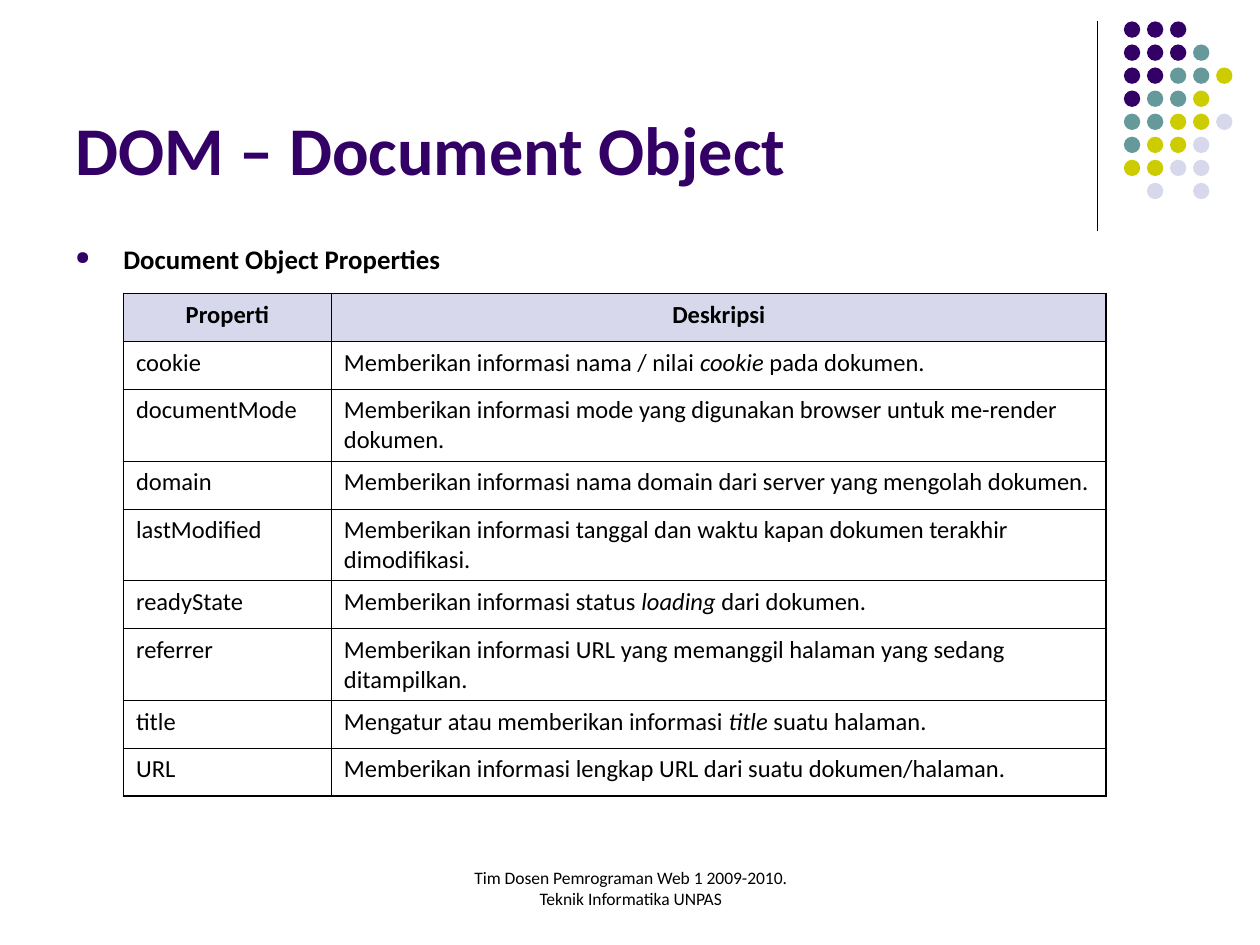
"""Build the DOM Document Object slide with its table of properties."""
from lxml import etree
from pptx import Presentation
from pptx.dml.color import RGBColor
from pptx.enum.shapes import MSO_CONNECTOR, MSO_SHAPE
from pptx.enum.text import MSO_ANCHOR, PP_ALIGN
from pptx.oxml.ns import qn
from pptx.util import Inches, Pt

LEFT, CENTER = PP_ALIGN.LEFT, PP_ALIGN.CENTER
TOP, BOTTOM = MSO_ANCHOR.TOP, MSO_ANCHOR.BOTTOM
ELLIPSE, STRAIGHT = MSO_SHAPE.OVAL, MSO_CONNECTOR.STRAIGHT

TITLE = "DOM – Document Object"
HEADING = "Document Object Properties"
FOOTER = "Tim Dosen Pemrograman Web 1 2009-2010.\nTeknik Informatika UNPAS"
PROPERTIES = [
    ("Properti", "Deskripsi"),
    ("cookie", "Memberikan informasi nama / nilai *cookie* pada dokumen."),
    ("documentMode", "Memberikan informasi mode yang digunakan browser untuk me-render dokumen."),
    ("domain", "Memberikan informasi nama domain dari server yang mengolah dokumen."),
    ("lastModified", "Memberikan informasi tanggal dan waktu kapan dokumen terakhir dimodifikasi."),
    ("readyState", "Memberikan informasi status *loading* dari dokumen."),
    ("referrer", "Memberikan informasi URL yang memanggil halaman yang sedang ditampilkan."),
    ("title", "Mengatur atau memberikan informasi *title* suatu halaman."),
    ("URL", "Memberikan informasi lengkap URL dari suatu dokumen/halaman."),
]
COLUMN_WIDTHS = (1.65, 6.15)
SINGLE_ROW, DOUBLE_ROW = 0.38, 0.57
TWO_LINE_LENGTH = 70
DOT_ROWS = ["PPP", "PPPT", "PPTTY", "PTTY", "TTYYL", "TYYL", "YYLL", " L L"]
DOT_LEFT, DOT_TOP, DOT_STEP, DOT_SIZE = 8.92, 0.17, 0.183, 0.13

THEME = {
    "font": "Calibri",
    "text": "000000",
    "accent": "330066",
    "header": "D8D8EC",
    "dots": {"P": "330066", "T": "669999", "Y": "CCCC00", "L": "D8D8EC"},
    "title_size": 39,
    "heading_size": 15.3,
    "table_size": 14,
    "footer_size": 10,
    "outer_border": 1.08,
    "inner_border": 0.45,
    "rule": 0.75,
}


def write_text(frame, text, size, color=THEME["text"], bold=False, align=LEFT, before=0, anchor=TOP):
    """Write lines as paragraphs, setting words between asterisks in italics."""
    frame.word_wrap = True
    frame.vertical_anchor = anchor
    for number, line in enumerate(text.split("\n")):
        paragraph = frame.add_paragraph() if number else frame.paragraphs[0]
        paragraph.alignment = align
        paragraph.space_before = Pt(before)
        for position, part in enumerate(line.split("*")):
            run = paragraph.add_run()
            run.text = part
            run.font.name = THEME["font"]
            run.font.size = Pt(size)
            run.font.bold = bold
            run.font.italic = position % 2 == 1
            run.font.color.rgb = RGBColor.from_string(color)


def add_text(slide, box, text, size, **text_format):
    """Add a text box and return its frame."""
    frame = slide.shapes.add_textbox(*map(Inches, box)).text_frame
    write_text(frame, text, size, **text_format)
    return frame


def add_bullet(paragraph, indent):
    """Give a paragraph a coloured bullet and a hanging indent."""
    properties = paragraph._p.get_or_add_pPr()
    properties.set("marL", str(Inches(indent)))
    properties.set("indent", str(-Inches(indent)))
    color = etree.SubElement(properties, qn("a:buClr"))
    etree.SubElement(color, qn("a:srgbClr"), val=THEME["accent"])
    etree.SubElement(properties, qn("a:buSzPct"), val="70000")
    etree.SubElement(properties, qn("a:buChar"), char="●")


def set_borders(cell, outer_sides):
    """Draw the four borders of a cell, heavier on the outer sides."""
    properties = cell._tc.get_or_add_tcPr()
    for index, side in enumerate("LRTB"):
        width = THEME["outer_border" if side in outer_sides else "inner_border"]
        line = etree.Element(qn(f"a:ln{side}"), w=str(Pt(width)))
        fill = etree.SubElement(line, qn("a:solidFill"))
        etree.SubElement(fill, qn("a:srgbClr"), val=THEME["text"])
        properties.insert(index, line)


def add_dots(slide):
    """Draw the corner grid of coloured dots."""
    for row, codes in enumerate(DOT_ROWS):
        for column, code in enumerate(codes):
            if code == " ":
                continue
            left, top = DOT_LEFT + column * DOT_STEP, DOT_TOP + row * DOT_STEP
            dot = slide.shapes.add_shape(ELLIPSE, *map(Inches, (left, top, DOT_SIZE, DOT_SIZE)))
            dot.shadow.inherit = False
            dot.fill.solid()
            dot.fill.fore_color.rgb = RGBColor.from_string(THEME["dots"][code])
            dot.line.fill.background()


def add_rule(slide):
    """Draw the vertical rule beside the dots."""
    rule = slide.shapes.add_connector(STRAIGHT, *map(Inches, (8.71, 0.17, 8.71, 1.83)))
    rule.line.color.rgb = RGBColor.from_string(THEME["text"])
    rule.line.width = Pt(THEME["rule"])
    etree.SubElement(rule._element.spPr, qn("a:effectLst"))


def add_property_table(slide):
    """Add the table of properties and their descriptions."""
    heights = [DOUBLE_ROW if len(text) > TWO_LINE_LENGTH else SINGLE_ROW for _, text in PROPERTIES]
    box = (0.98, 2.33, sum(COLUMN_WIDTHS), sum(heights))
    table = slide.shapes.add_table(len(PROPERTIES), len(COLUMN_WIDTHS), *map(Inches, box)).table
    table.first_row = table.horz_banding = False
    for column, width in zip(table.columns, COLUMN_WIDTHS):
        column.width = Inches(width)
    for row_index, texts in enumerate(PROPERTIES):
        header = row_index == 0
        table.rows[row_index].height = Inches(heights[row_index])
        vertical = "T" if header else "B" if row_index == len(PROPERTIES) - 1 else ""
        for column_index, text in enumerate(texts):
            cell = table.cell(row_index, column_index)
            write_text(cell.text_frame, text, THEME["table_size"], bold=header,
                       align=CENTER if header else LEFT, before=3.5)
            if header:
                cell.fill.solid()
                cell.fill.fore_color.rgb = RGBColor.from_string(THEME["header"])
            else:
                cell.fill.background()
            set_borders(cell, "LR"[column_index] + vertical)


def main():
    """Build and save the slide."""
    presentation = Presentation()
    presentation.slide_width, presentation.slide_height = Inches(10), Inches(7.5)
    slide = presentation.slides.add_slide(presentation.slide_layouts[6])
    add_rule(slide)
    add_dots(slide)
    add_text(slide, (3.42, 6.83, 3.17, 0.5), FOOTER, THEME["footer_size"], align=CENTER)
    add_text(slide, (0.5, 0.13, 8.25, 1.42), TITLE, THEME["title_size"],
             color=THEME["accent"], bold=True, anchor=BOTTOM)
    heading = add_text(slide, (0.5, 1.88, 4.42, 0.37), HEADING, THEME["heading_size"],
                       bold=True, before=4.5)
    add_bullet(heading.paragraphs[0], 0.38)
    add_property_table(slide)
    presentation.save("out.pptx")


if __name__ == "__main__":
    main()
